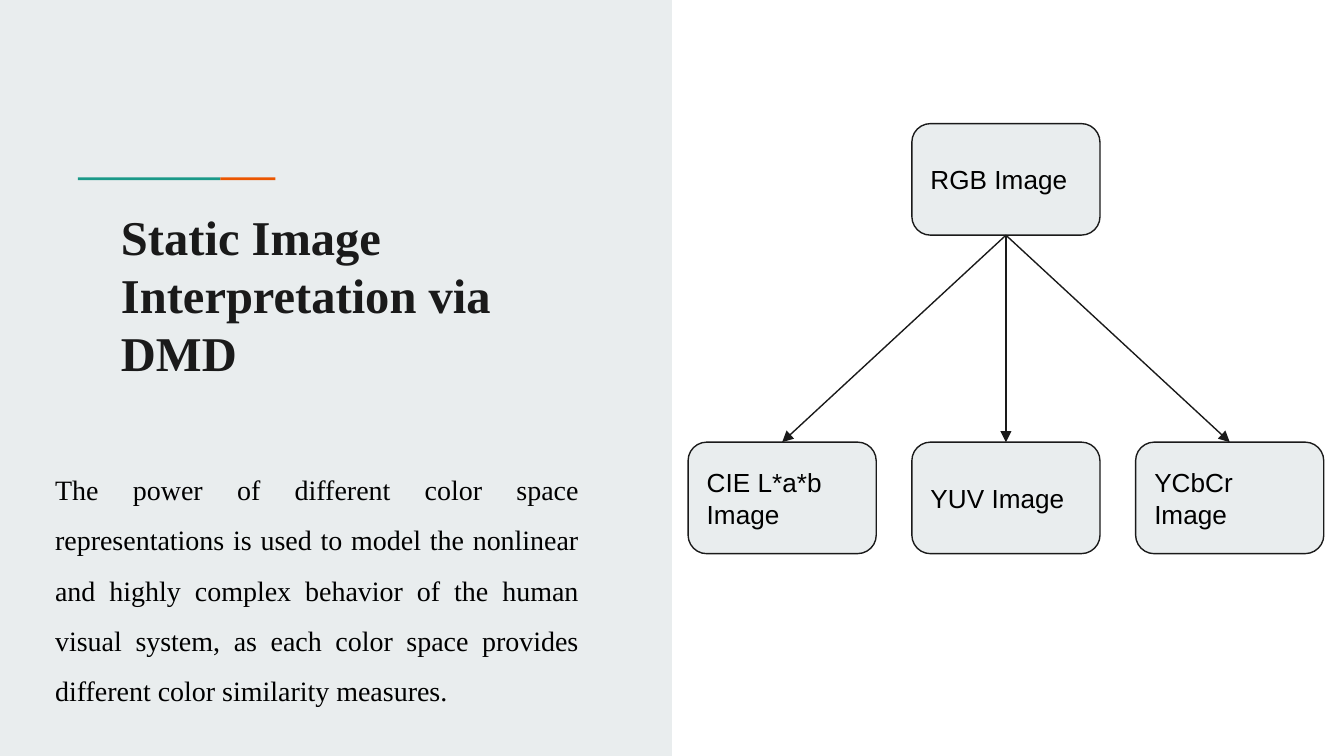
from lxml.etree import SubElement
from pptx import Presentation
from pptx.dml.color import RGBColor
from pptx.enum.shapes import MSO_CONNECTOR, MSO_SHAPE
from pptx.enum.text import MSO_ANCHOR, MSO_AUTO_SIZE, PP_ALIGN
from pptx.oxml.ns import qn
from pptx.util import Inches, Pt

SLIDE_WIDTH = 10
SLIDE_HEIGHT = SLIDE_WIDTH * 9 / 16
PALE, INK, BLACK = "E9EDEE", "1A1A1A", "000000"
TEAL, ORANGE = "1A9988", "EB5600"
BOTTOM_SITE, TOP_SITE = 2, 0


def color(value):
    return RGBColor.from_string(value)


def place(shape, left, top, width, height):
    shape.left, shape.top = Inches(left), Inches(top)
    shape.width, shape.height = Inches(width), Inches(height)


def write_text(shape, text, *, font, size, fill, bold=False,
               align=PP_ALIGN.LEFT, anchor=MSO_ANCHOR.TOP, spacing=1.0):
    frame = shape.text_frame
    frame.word_wrap = True
    frame.auto_size = MSO_AUTO_SIZE.NONE
    frame.vertical_anchor = anchor
    frame.margin_left = frame.margin_right = Inches(0.1)
    frame.margin_top = frame.margin_bottom = Inches(0.1)
    paragraph = frame.paragraphs[0]
    paragraph.alignment = align
    paragraph.line_spacing = spacing
    paragraph.space_before = Pt(0)
    run = paragraph.add_run()
    run.text = text
    run.font.name, run.font.size, run.font.bold = font, Pt(size), bold
    run.font.color.rgb = color(fill)


def add_block(slide, kind, left, top, width, height, fill, line=None):
    shape = slide.shapes.add_shape(
        kind, Inches(left), Inches(top), Inches(width), Inches(height))
    shape.shadow.inherit = False
    shape.fill.solid()
    shape.fill.fore_color.rgb = color(fill)
    if line:
        shape.line.color.rgb = color(line)
        shape.line.width = Pt(0.75)
    else:
        shape.line.fill.background()
    return shape


def add_arrow(slide, source, target):
    """Arrow from the bottom of source to the top of target."""
    arrow = slide.shapes.add_connector(MSO_CONNECTOR.STRAIGHT, 0, 0, 0, 0)
    arrow.begin_connect(source, BOTTOM_SITE)
    arrow.end_connect(target, TOP_SITE)
    arrow.line.color.rgb = color(INK)
    arrow.line.width = Pt(0.75)
    SubElement(arrow.line._get_or_add_ln(), qn("a:tailEnd"), type="triangle")
    SubElement(arrow._element.spPr, qn("a:effectLst"))


def build_text_panel(slide, left, top, width, height):
    panel = add_block(slide, MSO_SHAPE.RECTANGLE, left, top, width, height, PALE)
    slide.shapes._spTree.insert(2, panel._element)  # behind the placeholders

    teal_width, orange_width = 1.06, 0.41
    bar_left, bar_top = left + 0.58, top + 1.32
    add_block(slide, MSO_SHAPE.RECTANGLE, bar_left, bar_top,
              teal_width, 0.02, TEAL)
    add_block(slide, MSO_SHAPE.RECTANGLE, bar_left + teal_width, bar_top,
              orange_width, 0.02, ORANGE)

    title, subtitle = slide.placeholders
    place(title, left + 0.8, top + 1.44, 3.61, 1.85)
    write_text(title, "Static Image Interpretation via DMD",
               font="Times New Roman", size=26, fill=INK, bold=True)
    place(subtitle, left + 0.31, top + 3.29, 4.1, 0.83)
    write_text(
        subtitle,
        "The power of different color space representations is used to model "
        "the nonlinear and highly complex behavior of the human visual system, "
        "as each color space provides different color similarity measures.",
        font="Times New Roman", size=15, fill=BLACK,
        align=PP_ALIGN.JUSTIFY, spacing=1.5)


def build_color_space_tree(slide, left, top, width, height):
    node_width, node_height = 1.4, 0.83
    step = (width - node_width) / 2

    def add_node(text, column, node_top):
        node = add_block(slide, MSO_SHAPE.ROUNDED_RECTANGLE,
                         left + column * step, node_top,
                         node_width, node_height, PALE, INK)
        write_text(node, text, font="Arial", size=14, fill=BLACK,
                   anchor=MSO_ANCHOR.MIDDLE)
        return node

    root = add_node("RGB Image", 1, top)
    leaf_top = top + height - node_height
    names = ["CIE L*a*b Image", "YUV Image", "YCbCr Image"]
    leaves = [add_node(name, column, leaf_top)
              for column, name in enumerate(names)]
    for leaf in leaves:
        add_arrow(slide, root, leaf)


def main():
    presentation = Presentation()
    presentation.slide_width = Inches(SLIDE_WIDTH)
    presentation.slide_height = Inches(SLIDE_HEIGHT)
    slide = presentation.slides.add_slide(presentation.slide_layouts[0])
    build_text_panel(slide, 0, 0, SLIDE_WIDTH / 2, SLIDE_HEIGHT)
    build_color_space_tree(slide, 5.12, 0.92, 4.73, 3.2)
    presentation.save("out.pptx")


if __name__ == "__main__":
    main()
